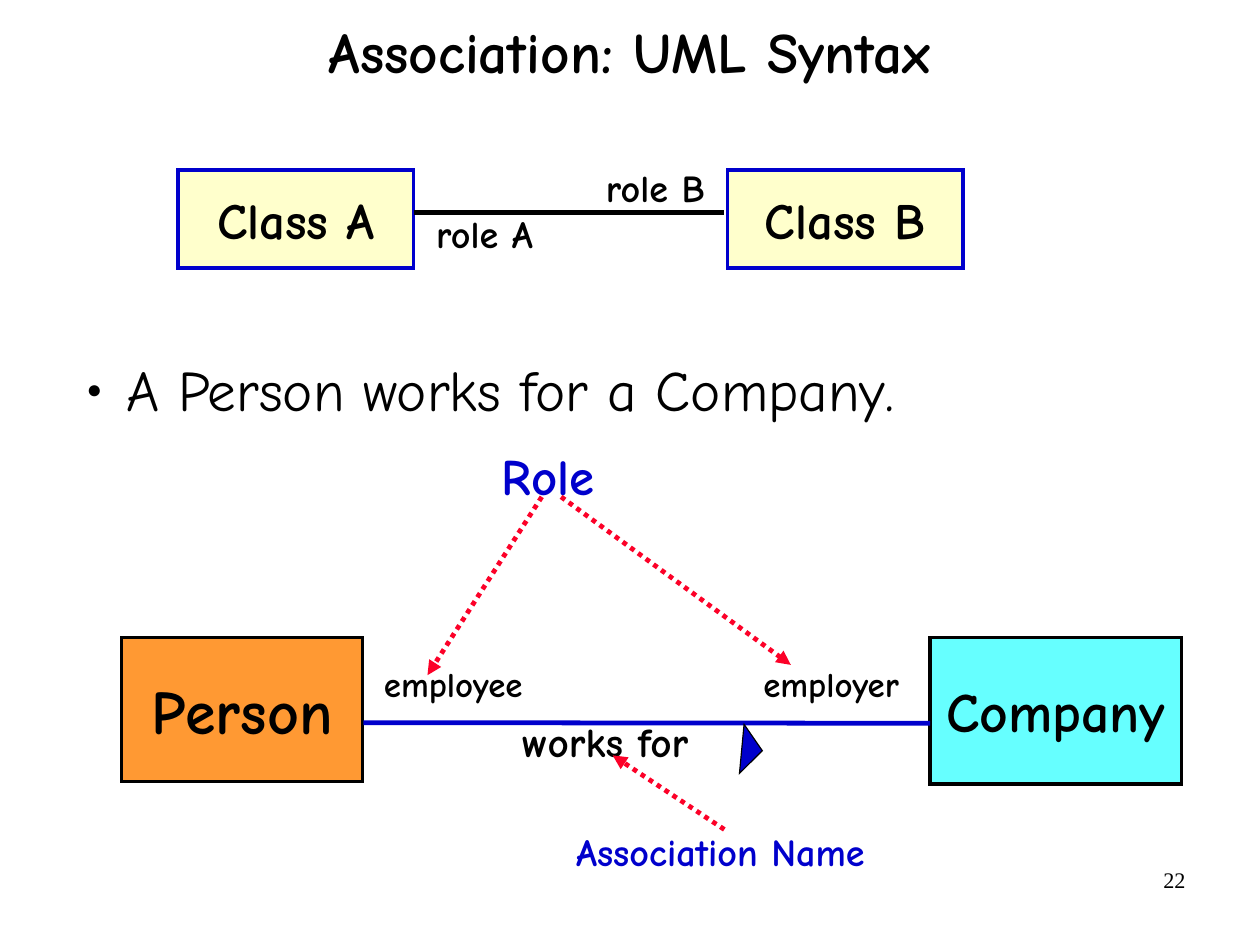
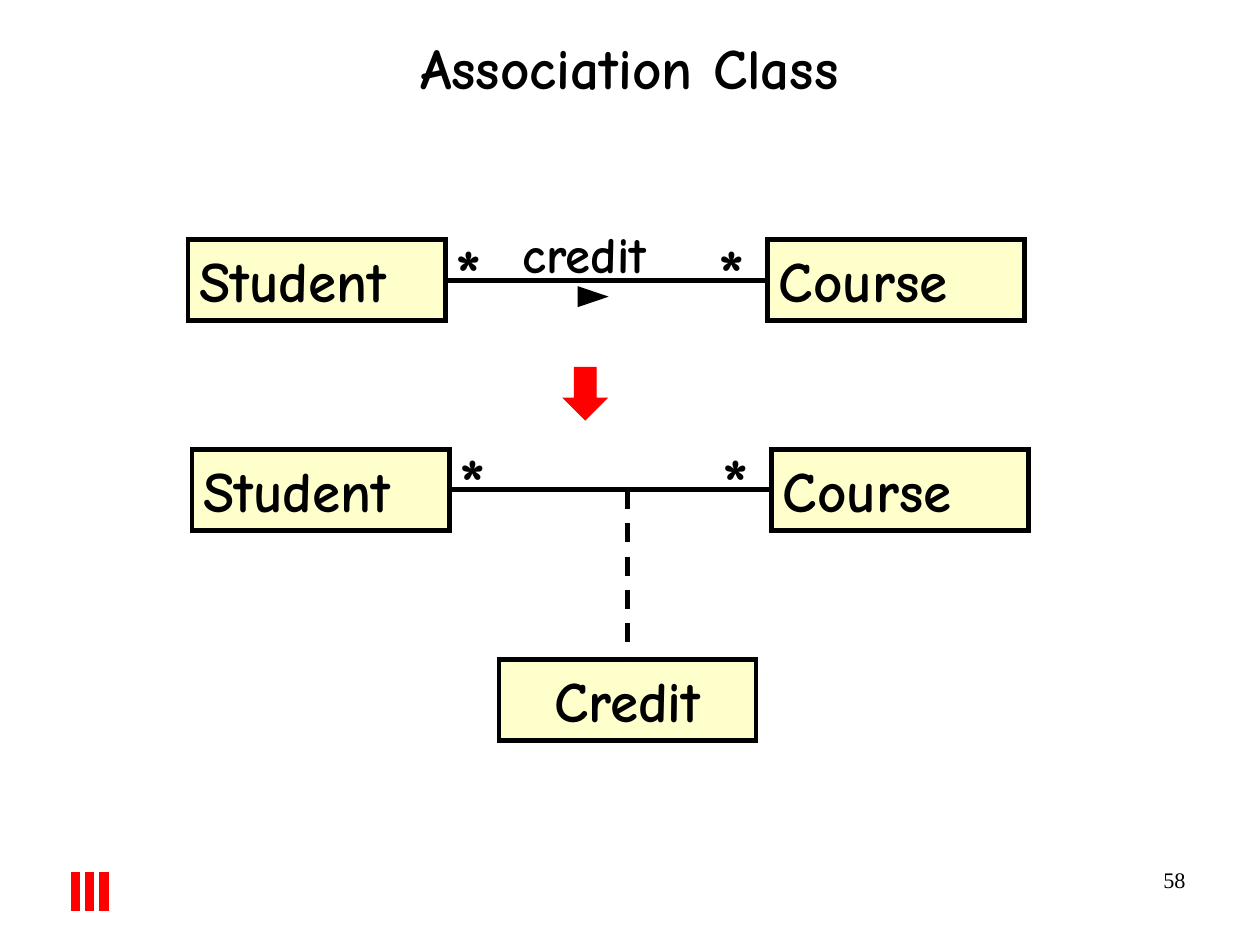
"""Build two slides that explain UML associations and association classes."""
from dataclasses import dataclass
from typing import Optional

import lxml.etree
import pptx
import pptx.dml.color
import pptx.enum.dml
import pptx.enum.shapes
import pptx.enum.text
import pptx.oxml.ns
import pptx.presentation
import pptx.shapes.autoshape
import pptx.shapes.connector
import pptx.slide
import pptx.util

Pt = pptx.util.Pt
Align = pptx.enum.text.PP_ALIGN
Anchor = pptx.enum.text.MSO_ANCHOR
Dash = pptx.enum.dml.MSO_LINE
Preset = pptx.enum.shapes.MSO_SHAPE
Slide = pptx.slide.Slide
Shape = pptx.shapes.autoshape.Shape
Connector = pptx.shapes.connector.Connector
Point = tuple[float, float]


@dataclass(frozen=True)
class Theme:
    font: str = "Comic Neue"
    number_font: str = "Times New Roman"
    black: str = "000000"
    blue: str = "0000CC"
    cream: str = "FFFFCC"
    orange: str = "FF9933"
    cyan: str = "66FFFF"
    red: str = "FF0000"
    pointer: str = "FC0128"
    title: float = 36
    body: float = 36
    class_name: float = 36
    person: float = 39
    company: float = 35
    star: float = 44
    heading: float = 32
    works_for: float = 26
    role: float = 24
    end_name: float = 22
    number: float = 14
    thick: float = 3
    medium: float = 2.25
    thin: float = 0.75
    tight: float = 0.88


THEME = Theme()
NO_INSET = (0, 0)
WIDE_INSET = (7.9, 4.3)


@dataclass(frozen=True)
class Box:
    left: float
    top: float
    width: float
    height: float

    def lengths(self) -> list[pptx.util.Length]:
        return [Pt(v) for v in (self.left, self.top, self.width, self.height)]


@dataclass(frozen=True)
class Label:
    text: str
    box: Box
    size: float
    color: str = THEME.black
    align: Align = Align.CENTER
    anchor: Anchor = Anchor.TOP
    inset: Point = (7.2, 3.6)
    font: str = THEME.font
    bold: bool = True
    spacing: Optional[float] = None


@dataclass(frozen=True)
class ClassBox:
    label: Label
    fill: str
    line: str
    weight: float = THEME.medium


@dataclass(frozen=True)
class Line:
    start: Point
    end: Point
    color: str = THEME.black
    weight: float = THEME.thick
    dash: Optional[Dash] = None
    arrow: bool = False


def rgb(color: str) -> pptx.dml.color.RGBColor:
    return pptx.dml.color.RGBColor.from_string(color)


def add_element(parent: lxml.etree.ElementBase, tag: str, **settings: str) -> None:
    lxml.etree.SubElement(parent, pptx.oxml.ns.qn(tag), settings)


def write(shape: Shape, label: Label) -> None:
    frame = shape.text_frame
    frame.text = label.text
    frame.word_wrap = label.align != Align.CENTER
    frame.vertical_anchor = label.anchor
    frame.margin_left = frame.margin_right = Pt(label.inset[0])
    frame.margin_top = frame.margin_bottom = Pt(label.inset[1])
    paragraph = frame.paragraphs[0]
    paragraph.alignment = label.align
    paragraph.line_spacing = label.spacing
    font = paragraph.runs[0].font
    font.name = label.font
    font.size = Pt(label.size)
    font.bold = label.bold
    font.color.rgb = rgb(label.color)


def draw_label(slide: Slide, label: Label) -> Shape:
    shape = slide.shapes.add_textbox(*label.box.lengths())
    write(shape, label)
    return shape


def draw_preset(slide: Slide, preset: Preset, box: Box, fill: str, line: str,
                weight: float = THEME.thin, rotation: float = 0) -> Shape:
    shape = slide.shapes.add_shape(preset, *box.lengths())
    shape.shadow.inherit = False
    shape.fill.solid()
    shape.fill.fore_color.rgb = rgb(fill)
    shape.line.color.rgb = rgb(line)
    shape.line.width = Pt(weight)
    outline = shape._element.spPr.find(pptx.oxml.ns.qn("a:ln"))
    add_element(outline, "a:miter", lim="800000")
    shape.rotation = rotation
    return shape


def draw_class(slide: Slide, item: ClassBox) -> Shape:
    shape = draw_preset(slide, Preset.RECTANGLE, item.label.box, item.fill,
                        item.line, item.weight)
    write(shape, item.label)
    return shape


def draw_line(slide: Slide, line: Line) -> Connector:
    ends = [Pt(v) for v in (*line.start, *line.end)]
    connector = slide.shapes.add_connector(
        pptx.enum.shapes.MSO_CONNECTOR.STRAIGHT, *ends)
    connector.line.color.rgb = rgb(line.color)
    connector.line.width = Pt(line.weight)
    if line.dash is not None:
        connector.line.dash_style = line.dash
    properties = connector._element.spPr
    if line.arrow:
        outline = properties.find(pptx.oxml.ns.qn("a:ln"))
        add_element(outline, "a:tailEnd", type="triangle")
    add_element(properties, "a:effectLst")
    return connector


def add_bullet(shape: Shape) -> None:
    paragraph = shape.text_frame.paragraphs[0]
    paragraph.space_after = Pt(13.8)
    properties = paragraph._p.get_or_add_pPr()
    properties.set("marL", str(Pt(33.3)))
    properties.set("indent", str(Pt(-25)))
    add_element(properties, "a:buSzPct", val="45000")
    add_element(properties, "a:buFont", typeface=THEME.number_font)
    add_element(properties, "a:buChar", char="●")


def start_slide(deck: pptx.presentation.Presentation, title: str,
                title_top: float, number: str) -> Slide:
    slide = deck.slides.add_slide(deck.slide_layouts[6])
    draw_label(slide, Label(number, Box(569, 542, 185, 41), THEME.number,
                            align=Align.RIGHT, inset=(7.2, 3.6),
                            font=THEME.number_font, bold=False))
    draw_label(slide, Label(title, Box(58, title_top, 677, 98.6), THEME.title,
                            anchor=Anchor.MIDDLE, inset=NO_INSET,
                            spacing=THEME.tight))
    return slide


def build_syntax(deck: pptx.presentation.Presentation) -> None:
    slide = start_slide(deck, "Association: UML Syntax", -14.4, "22")
    sentence = draw_label(slide, Label(
        "A Person works for a Company.", Box(46.2, 229, 755, 366), THEME.body,
        align=Align.LEFT, inset=NO_INSET, bold=False, spacing=THEME.tight))
    add_bullet(sentence)

    for name, left in (("Class A", 112.3), ("Class B", 458.3)):
        draw_class(slide, ClassBox(
            Label(name, Box(left, 107, 148.3, 62), THEME.heading,
                  anchor=Anchor.MIDDLE), THEME.cream, THEME.blue))
    for name, box, size, fill in (
            ("Person", Box(76.5, 401.5, 152, 90.7), THEME.person, THEME.orange),
            ("Company", Box(586, 401.5, 158.4, 92.2), THEME.company, THEME.cyan)):
        draw_class(slide, ClassBox(
            Label(name, box, size, anchor=Anchor.MIDDLE, inset=WIDE_INSET),
            fill, THEME.black))

    for name, box, size in (
            ("works for", Box(321, 446.7, 139, 42), THEME.works_for),
            ("employee", Box(234, 413, 113, 36.7), THEME.end_name),
            ("employer", Box(473, 413, 126, 36.7), THEME.end_name)):
        draw_label(slide, Label(name, box, size, align=Align.LEFT,
                                inset=WIDE_INSET))
    for name, box, size in (
            ("Association Name", Box(342.5, 517.3, 222.5, 37.4), THEME.role),
            ("Role", Box(305, 275.5, 80.6, 46.8), THEME.heading)):
        draw_label(slide, Label(name, box, size, THEME.blue, inset=WIDE_INSET))
    for name, box in (("role A", Box(262, 129, 86.4, 36)),
                      ("role B", Box(370.8, 100, 84.2, 36))):
        draw_label(slide, Label(name, box, THEME.role, anchor=Anchor.MIDDLE))

    draw_line(slide, Line((260.6, 134), (456.3, 134)))
    draw_line(slide, Line((229, 455.2), (586, 455.6), THEME.blue))
    draw_preset(slide, Preset.ISOSCELES_TRIANGLE, Box(458.3, 465.8, 31, 13),
                THEME.blue, THEME.black, rotation=95.3)
    for start, end in (((456.3, 522.5), (386, 475.8)),
                       ((341.3, 313), (269.3, 425.3)),
                       ((353.5, 313), (498.2, 418.8))):
        draw_line(slide, Line(start, end, THEME.pointer, dash=Dash.ROUND_DOT,
                              arrow=True))


def draw_entity(slide: Slide, name: str, left: float, top: float,
                align: Align = Align.LEFT) -> Shape:
    label = Label(name, Box(left, top, 162, 51), THEME.class_name, align=align)
    return draw_class(slide, ClassBox(label, THEME.cream, THEME.black,
                                      THEME.thick))


def draw_enrolment(slide: Slide, left: float, top: float) -> None:
    student = draw_entity(slide, "Student", left, top)
    course = draw_entity(slide, "Course", left + 365, top)
    link = draw_line(slide, Line((left + 162, top + 25.5),
                                 (left + 365, top + 25.5)))
    link.begin_connect(student, 3)
    link.end_connect(course, 1)
    for offset in (161.3, 327):
        draw_label(slide, Label("*", Box(left + offset, top - 10, 29, 60.5),
                                THEME.star, align=Align.LEFT))


def build_association_class(deck: pptx.presentation.Presentation) -> None:
    slide = start_slide(deck, "Association Class", -4.3, "58")
    draw_enrolment(slide, 118.5, 151)
    draw_label(slide, Label("credit", Box(322.4, 136.8, 138, 46), THEME.heading,
                            align=Align.LEFT))
    draw_preset(slide, Preset.ISOSCELES_TRIANGLE, Box(367.2, 177.9, 12.2, 18),
                THEME.black, THEME.black, rotation=90)
    draw_preset(slide, Preset.DOWN_ARROW, Box(355, 231.5, 27.4, 33),
                THEME.red, THEME.red)

    draw_enrolment(slide, 121, 283)
    credit = draw_entity(slide, "Credit", 314.3, 415.5, Align.CENTER)
    attachment = draw_line(slide, Line((395.3, 308.5), (395.3, 415.5),
                                       dash=Dash.DASH))
    attachment.end_connect(credit, 0)

    for index in range(3):
        x = 47.5 + 9 * index
        draw_line(slide, Line((x, 549.5), (x, 573.7), THEME.red, 6))


def main() -> None:
    deck = pptx.Presentation()
    deck.slide_width, deck.slide_height = Pt(793.75), Pt(595.25)
    build_syntax(deck)
    build_association_class(deck)
    deck.save("out.pptx")


if __name__ == "__main__":
    main()
